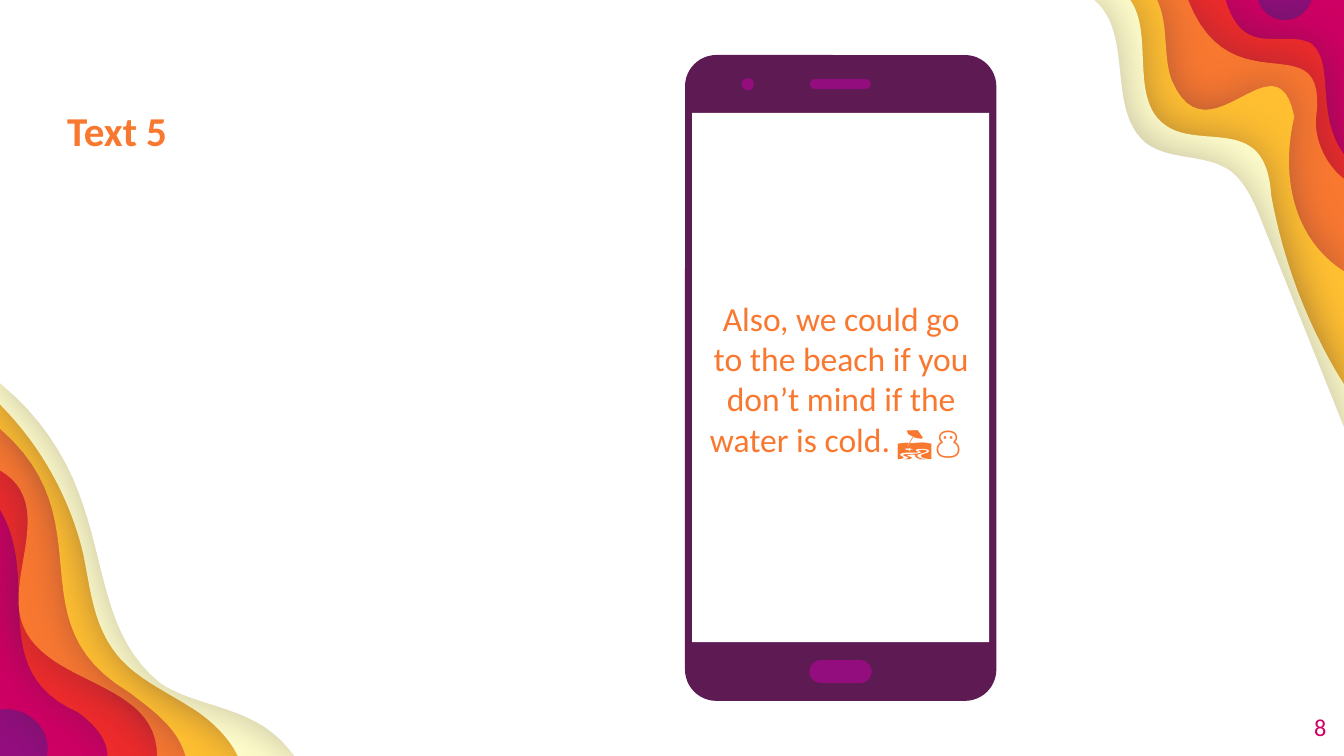
import pptx
import pptx.dml.color
import pptx.enum.shapes
import pptx.enum.text
import pptx.oxml
import pptx.oxml.ns
import pptx.util

Pt = pptx.util.Pt
SHAPE = pptx.enum.shapes.MSO_SHAPE
ALIGN = pptx.enum.text.PP_ALIGN
ANCHOR = pptx.enum.text.MSO_ANCHOR

WIDTH, HEIGHT = 720, 405
COLORS = {
    "purple": "940D7F", "magenta": "CE0063", "red": "ED2B2B",
    "orange": "F97830", "yellow": "FFBF31", "cream": "FEFDCA",
    "white": "FFFFFF", "case": "5E1B53", "shadow": "39273F",
}

# Each layer: colour, edge across the top right, edge across the bottom left.
# An edge is a start point, then lines (x, y) or cubic curves (six numbers).
LAYERS = [
    ("magenta",
     [(720, 0), (702.7, 0), (698.4, 14.4, 678.2, 14.4, 673.9, 0)],
     [(0, 380.2), (14.4, 378, 28.1, 390.2, 25.2, 405)]),
    ("red",
     [(720, 82.8), (704.2, 61.2, 715.7, 33.1, 702, 23),
      (686.2, 15.8, 666, 31.7, 656.6, 0)],
     [(0, 272.9), (23, 311, -8.6, 359.3, 41.8, 381.6),
      (49.7, 387.4, 57.6, 395.3, 57.6, 405)]),
    ("orange",
     [(720, 95.8), (710.6, 88.6, 704.9, 76.3, 704.9, 64.8),
      (712.8, 8.6, 660.2, 60.5, 636.5, 0)],
     [(0, 252), (31, 270, 2.2, 308.9, 12.2, 334.8),
      (25.2, 367.9, 84.2, 364.3, 84.2, 405)]),
    ("yellow",
     [(720, 145.4), (691.9, 127.4, 686.2, 92.9, 693.4, 62.6),
      (684, 15.8, 647.3, 88.6, 627.8, 43.2),
      (622.8, 29.5, 626.4, 13.7, 619.9, 0)],
     [(0, 229.7), (57.6, 279.4, 6.5, 333.4, 69.1, 370.8),
      (81.4, 380.2, 95, 389.5, 99.4, 405)]),
    ("cream",
     [(720, 205.9), (700.6, 175, 687.6, 140.4, 681.1, 105.1),
      (680.4, 96.5, 679, 87.1, 672.5, 80.6),
      (660.2, 69.1, 637.9, 77, 624.2, 67),
      (604.8, 53.3, 618.5, 18, 605.5, 0)],
     [(0, 216.7), (21.6, 238.3, 37.4, 266.4, 44.6, 296.6),
      (48.2, 313.9, 49.7, 332.6, 60.5, 347.8),
      (71.3, 363.6, 90.7, 370.8, 107.3, 382.3),
      (115.2, 388.1, 123.1, 396, 127.4, 405)]),
    ("white",
     [(720, 229), (675.4, 117.4), (671.8, 108, 666.7, 97.2, 658.8, 91.4),
      (645.1, 82.1, 626.4, 86.4, 613.4, 76.3),
      (592.6, 58.3, 607.7, 18, 586.1, 0)],
     [(0, 205.2), (67.7, 261.4, 39.6, 328.3, 85.7, 365.8),
      (99.4, 375.1, 117.4, 377.3, 132.5, 384.5),
      (142.6, 388.8, 151.2, 396, 157.7, 405)]),
]


def rgb(name):
    return pptx.dml.color.RGBColor.from_string(COLORS[name])


def trace(edge, steps=24):
    """Turn an edge of lines and cubic curves into a list of points."""
    points = [edge[0]]
    for segment in edge[1:]:
        if len(segment) == 2:
            points.append(segment)
            continue
        x0, y0 = points[-1]
        x1, y1, x2, y2, x3, y3 = segment
        for step in range(1, steps + 1):
            t = step / steps
            a, b, c, d = (1 - t) ** 3, 3 * t * (1 - t) ** 2, 3 * t * t * (1 - t), t ** 3
            points.append((a * x0 + b * x1 + c * x2 + d * x3,
                           a * y0 + b * y1 + c * y2 + d * y3))
    return points


class SlideBuilder:
    font_name = "Calibri"

    def __init__(self, slide):
        self.slide = slide

    def background(self, color):
        fill = self.slide.background.fill
        fill.solid()
        fill.fore_color.rgb = rgb(color)

    def paint(self, shape, color):
        shape.shadow.inherit = False
        shape.fill.solid()
        shape.fill.fore_color.rgb = rgb(color)
        shape.line.fill.background()

    def layer(self, color, top_right, bottom_left):
        points = trace(top_right) + [(0, 0)] + trace(bottom_left) + [(WIDTH, HEIGHT)]
        points = [(Pt(x), Pt(y)) for x, y in points]
        builder = self.slide.shapes.build_freeform(*points[0])
        builder.add_line_segments(points[1:], close=True)
        shape = builder.convert_to_shape()
        self.paint(shape, color)
        self.soft_shadow(shape)

    def soft_shadow(self, shape):
        effects = shape._element.spPr.find(pptx.oxml.ns.qn("a:effectLst"))
        effects.append(pptx.oxml.parse_xml(
            f'<a:outerShdw {pptx.oxml.ns.nsdecls("a")} blurRad="{Pt(22.5)}" '
            f'dist="{Pt(0.8)}" dir="0" algn="ctr" rotWithShape="0">'
            f'<a:srgbClr val="{COLORS["shadow"]}"><a:alpha val="30000"/></a:srgbClr>'
            '</a:outerShdw>'))

    def block(self, kind, box, color, radius=None):
        shape = self.slide.shapes.add_shape(kind, *map(Pt, box))
        self.paint(shape, color)
        if radius is not None:
            shape.adjustments[0] = radius / min(box[2:])

    def set_text(self, shape, text, size, color, align, anchor, inset=0, bold=False):
        frame = shape.text_frame
        frame.word_wrap = True
        frame.auto_size = pptx.enum.text.MSO_AUTO_SIZE.NONE
        frame.vertical_anchor = anchor
        frame.margin_left = frame.margin_right = Pt(inset)
        frame.margin_top = frame.margin_bottom = Pt(inset)
        frame.text = text
        paragraph = frame.paragraphs[0]
        paragraph.alignment = align
        paragraph.space_before = Pt(0)
        paragraph.font.name = self.font_name
        paragraph.font.size = Pt(size)
        paragraph.font.bold = bold
        paragraph.font.color.rgb = rgb(color)
        return paragraph

    def title(self, box, text):
        shape = self.slide.shapes.title
        shape.left, shape.top, shape.width, shape.height = map(Pt, box)
        paragraph = self.set_text(shape, text, 22, "orange", ALIGN.LEFT, ANCHOR.TOP, bold=True)
        paragraph.line_spacing = 1.15

    def text(self, box, text, size, color, align, inset=0):
        shape = self.slide.shapes.add_textbox(*map(Pt, box))
        self.set_text(shape, text, size, color, align, ANCHOR.MIDDLE, inset)


def main():
    presentation = pptx.Presentation()
    presentation.slide_width, presentation.slide_height = Pt(WIDTH), Pt(HEIGHT)
    builder = SlideBuilder(presentation.slides.add_slide(presentation.slide_layouts[5]))

    builder.background("purple")
    for color, top_right, bottom_left in LAYERS:
        builder.layer(color, top_right, bottom_left)

    # The title placeholder exists already, so raise it above the layers.
    title = builder.slide.shapes.title._element
    title.getparent().append(title)
    builder.title((36, 52.6, 271.4, 172.8), "Text 5")

    # Phone: case, screen, home button, camera, speaker
    builder.block(SHAPE.ROUNDED_RECTANGLE, (367, 29.5, 166.8, 346), "case", 16.8)
    builder.block(SHAPE.RECTANGLE, (370.8, 60.5, 159.1, 283.5), "white")
    builder.block(SHAPE.ROUNDED_RECTANGLE, (433.6, 353.7, 33.4, 12.2), "purple", 6.1)
    builder.block(SHAPE.OVAL, (397.3, 41.8, 6.6, 6.6), "purple")
    builder.block(SHAPE.ROUNDED_RECTANGLE, (433.9, 42.4, 32.6, 5.2), "purple", 2.6)

    builder.text((371.5, 61.9, 158.4, 281.5),
                 "Also, we could go to the beach if you don’t mind if the water is cold. 🏖⛄ ",
                 18, "orange", ALIGN.CENTER, inset=7.2)
    builder.text((667.4, 373.7, 43.2, 31), "8", 13, "magenta", ALIGN.RIGHT)

    presentation.save("out.pptx")


if __name__ == "__main__":
    main()
